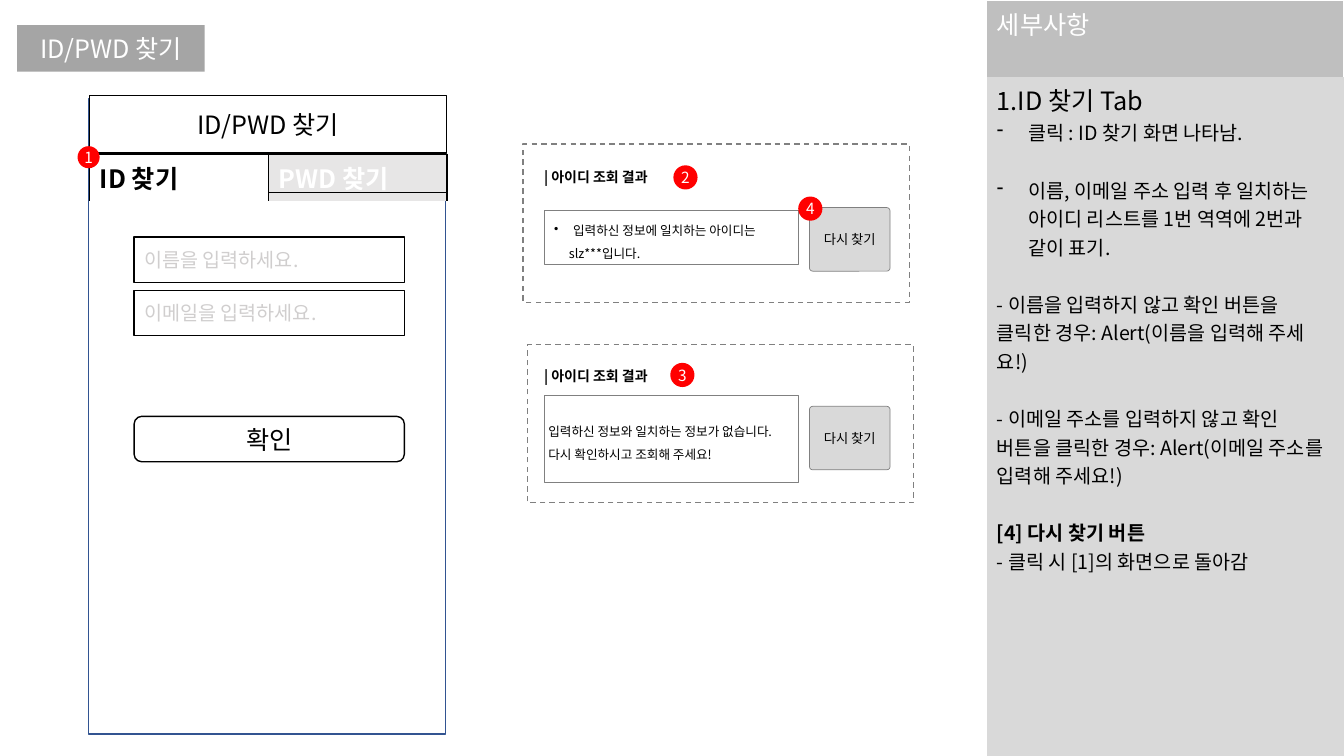
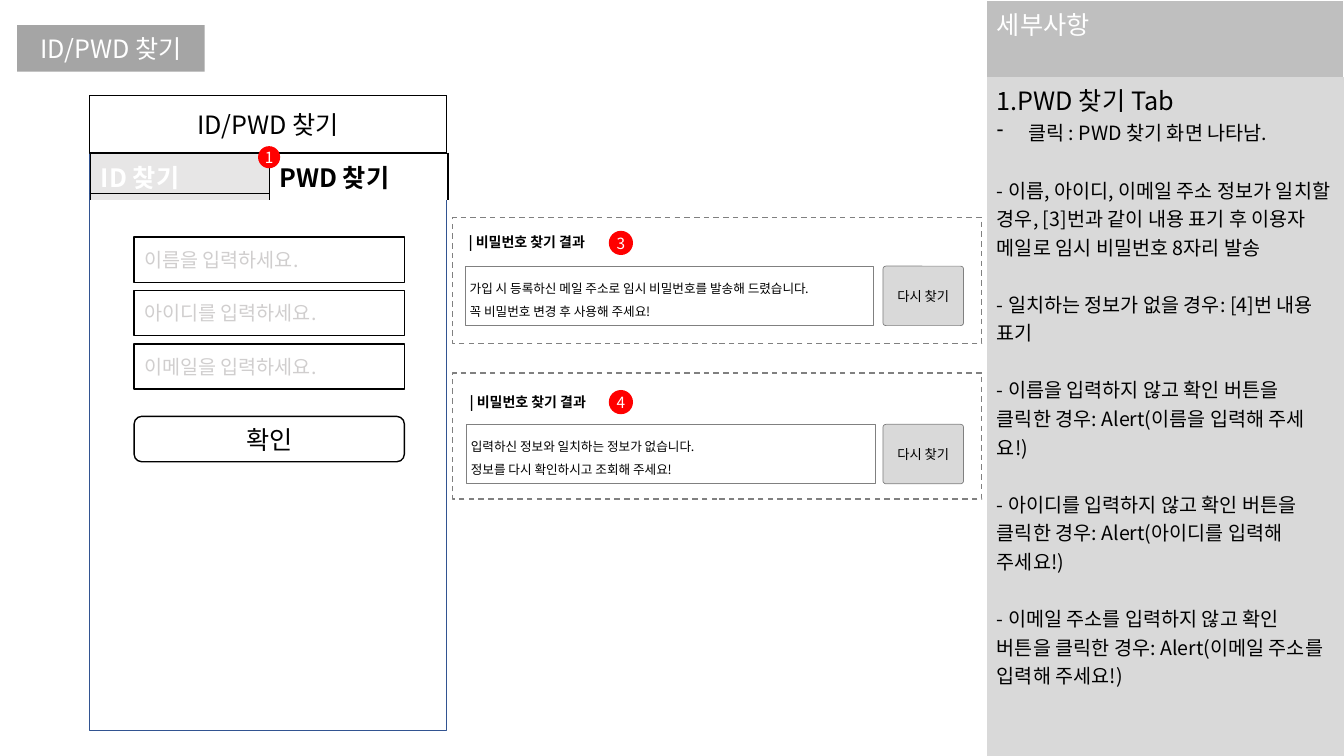
from dataclasses import dataclass

from lxml import etree
from pptx import Presentation
from pptx.dml.color import RGBColor
from pptx.enum.dml import MSO_LINE
from pptx.enum.shapes import MSO_CONNECTOR, MSO_SHAPE
from pptx.enum.text import MSO_ANCHOR, MSO_AUTO_SIZE, PP_ALIGN
from pptx.oxml.ns import qn
from pptx.util import Pt

RECT = MSO_SHAPE.RECTANGLE
ROUNDED = MSO_SHAPE.ROUNDED_RECTANGLE
OVAL = MSO_SHAPE.OVAL
STRAIGHT = MSO_CONNECTOR.STRAIGHT
DASH = MSO_LINE.DASH
TOP = MSO_ANCHOR.TOP
MIDDLE = MSO_ANCHOR.MIDDLE
LEFT = PP_ALIGN.LEFT
CENTER = PP_ALIGN.CENTER
FIXED = MSO_AUTO_SIZE.NONE
TITLE_ONLY = 5


@dataclass(frozen=True)
class Theme:
    font: str = "Noto Sans CJK KR"
    ink: str = "000000"
    white: str = "FFFFFF"
    pill: str = "A5A5A5"
    panel_head: str = "BFBFBF"
    panel: str = "D9D9D9"
    idle_tab: str = "E7E6E6"
    hint: str = "D0CECE"
    phone: str = "325491"
    frame: str = "808080"
    badge: str = "FF0000"
    heading: float = 18
    note: float = 14
    badge_size: float = 11
    result_head: float = 10
    retry: float = 9.5
    result: float = 9


@dataclass(frozen=True)
class Line:
    text: str
    bold: bool = False
    gap: float = 0
    left: float = 0
    bullet: str = ""


@dataclass(frozen=True)
class Result:
    title: str
    number: str
    frame: tuple
    heading: tuple
    badge: tuple
    box: tuple
    retry: tuple
    lines: list
    anchor: int = MIDDLE
    inset: tuple = (2.9, 2.9)


@dataclass(frozen=True)
class Screen:
    phone: tuple
    tabs: tuple
    active: int
    rule: tuple
    marker: tuple
    hints: list
    notes: list
    results: list
    badges: list


THEME = Theme()
GAP = 20.4
HANG = 22.5
PAGE_TITLE = "ID/PWD 찾기"
TABS = ["ID 찾기", "PWD 찾기"]
HEADER_BOX = (64.1, 68.4, 254.9, 41)
FIELD_LEFT, FIELD_TOP, FIELD_STEP = 95.8, 169.2, 38.2
FIELD_SIZE = (193, 32.4)
CONFIRM_TOP = 297.4


def rgb(value):
    return RGBColor.from_string(value)


def style_paragraph(paragraph, line, size, color, align, spacing):
    paragraph.text = line.text
    paragraph.alignment = align
    paragraph.line_spacing = spacing
    paragraph.space_before = Pt(line.gap)
    properties = paragraph._p.get_or_add_pPr()
    properties.set("marL", str(Pt(line.left)))
    properties.set("indent", str(-Pt(line.left) if line.bullet else 0))
    if line.bullet:
        etree.SubElement(properties, qn("a:buChar")).set("char", line.bullet)
    font = paragraph.font
    font.name = THEME.font
    font.size = Pt(size)
    font.bold = line.bold
    font.color.rgb = rgb(color)
    east_asian = etree.SubElement(properties.find(qn("a:defRPr")), qn("a:ea"))
    east_asian.set("typeface", THEME.font)


def write(frame, lines, size, color, align=LEFT, spacing=1.0):
    for index, line in enumerate(lines):
        paragraph = frame.add_paragraph() if index else frame.paragraphs[0]
        style_paragraph(paragraph, line, size, color, align, spacing)


def fit(frame, anchor=MIDDLE, inset=(7.2, 3.6), wrap=True):
    frame.auto_size = FIXED
    frame.word_wrap = wrap
    frame.vertical_anchor = anchor
    frame.margin_left = frame.margin_right = Pt(inset[0])
    frame.margin_top = frame.margin_bottom = Pt(inset[1])


def add_box(slide, kind, bounds, fill, line=None, width=1.0, dash=None, corner=None):
    box = slide.shapes.add_shape(kind, *map(Pt, bounds))
    box.shadow.inherit = False
    box.fill.solid()
    box.fill.fore_color.rgb = rgb(fill)
    if line:
        box.line.color.rgb = rgb(line)
        box.line.width = Pt(width)
        box.line.dash_style = dash
    else:
        box.line.fill.background()
    if corner is not None:
        box.adjustments[0] = corner
    fit(box.text_frame)
    return box


def add_title(slide):
    title = slide.shapes.title
    title.left, title.top, title.width, title.height = map(Pt, (12.2, 18, 134, 33.1))
    outline = etree.SubElement(title._element.spPr, qn("a:prstGeom"))
    outline.set("prst", "roundRect")
    corner = etree.SubElement(etree.SubElement(outline, qn("a:avLst")), qn("a:gd"))
    corner.set("name", "adj")
    corner.set("fmla", "val 34900")
    title.fill.solid()
    title.fill.fore_color.rgb = rgb(THEME.pill)
    fit(title.text_frame)
    write(title.text_frame, [Line(PAGE_TITLE)], THEME.heading, THEME.white, CENTER)


def style_cell(cell, fill, edge, sides):
    properties = cell._tc.get_or_add_tcPr()
    for side in "LRTB":
        border = etree.SubElement(properties, qn(f"a:ln{side}"))
        if side in sides:
            border.set("w", str(Pt(1)))
            paint = etree.SubElement(border, qn("a:solidFill"))
            etree.SubElement(paint, qn("a:srgbClr")).set("val", edge)
        else:
            etree.SubElement(border, qn("a:noFill"))
    cell.fill.solid()
    cell.fill.fore_color.rgb = rgb(fill)


def add_grid(slide, origin, widths, heights):
    bounds = (*origin, sum(widths), sum(heights))
    grid = slide.shapes.add_table(len(heights), len(widths), *map(Pt, bounds)).table
    grid.first_row = grid.horz_banding = False
    for column, width in zip(grid.columns, widths):
        column.width = Pt(width)
    for row, height in zip(grid.rows, heights):
        row.height = Pt(height)
    return grid


def add_panel(slide, notes):
    panel = add_grid(slide, (704.9, 0), [255.1], [54.7, 485.3])
    head, body = panel.cell(0, 0), panel.cell(1, 0)
    style_cell(head, THEME.panel_head, THEME.white, "LTR")
    write(head.text_frame, [Line("세부사항")], THEME.heading, THEME.white)
    style_cell(body, THEME.panel, THEME.white, "")
    write(body.text_frame, notes, THEME.note, THEME.ink)
    body.text_frame.paragraphs[0].font.size = Pt(THEME.heading)


def add_tabs(slide, screen):
    tabs = add_grid(slide, screen.tabs, [127.6, 127.6], [29.5])
    for index, label in enumerate(TABS):
        active = index == screen.active
        cell = tabs.cell(0, index)
        style_cell(cell, THEME.white if active else THEME.idle_tab, THEME.ink, "LTR")
        write(cell.text_frame, [Line(label, bold=True)], THEME.heading,
              THEME.ink if active else THEME.white)
    left, right, y = screen.rule
    rule = slide.shapes.add_connector(STRAIGHT, Pt(left), Pt(y), Pt(right), Pt(y))
    rule.line.color.rgb = rgb(THEME.ink)
    rule.line.width = Pt(0.5)
    etree.SubElement(rule._element.spPr, qn("a:effectLst"))


def add_badge(slide, number, origin, size=17.3):
    badge = add_box(slide, OVAL, (*origin, size, size), THEME.badge)
    fit(badge.text_frame, inset=(0, 0), wrap=False)
    write(badge.text_frame, [Line(number)], THEME.badge_size, THEME.white, CENTER)


def add_phone(slide, screen):
    add_box(slide, RECT, (*screen.phone, 254.9, 453.6), THEME.white, THEME.phone)
    header = add_box(slide, RECT, HEADER_BOX, THEME.white, THEME.ink)
    write(header.text_frame, [Line(PAGE_TITLE)], THEME.heading, THEME.ink, CENTER)
    for index, hint in enumerate(screen.hints):
        top = FIELD_TOP + index * FIELD_STEP
        field = add_box(slide, RECT, (FIELD_LEFT, top, *FIELD_SIZE), THEME.white, THEME.ink)
        write(field.text_frame, [Line(hint)], THEME.note, THEME.hint)
    confirm = add_box(slide, ROUNDED, (FIELD_LEFT, CONFIRM_TOP, *FIELD_SIZE),
                      THEME.white, THEME.ink)
    write(confirm.text_frame, [Line("확인")], THEME.heading, THEME.ink, CENTER)
    add_tabs(slide, screen)
    add_badge(slide, "1", screen.marker, 15.8)


def add_result(slide, result):
    add_box(slide, RECT, result.frame, THEME.white, THEME.frame, dash=DASH)
    heading = slide.shapes.add_textbox(*map(Pt, result.heading)).text_frame
    fit(heading, TOP)
    write(heading, [Line(result.title, bold=True)], THEME.result_head, THEME.ink)
    message = add_box(slide, RECT, result.box, THEME.white, THEME.frame, 0.5)
    fit(message.text_frame, result.anchor, result.inset)
    write(message.text_frame, result.lines, THEME.result, THEME.ink, spacing=1.5)
    retry = add_box(slide, ROUNDED, result.retry, THEME.panel, THEME.frame, 0.5, corner=0.052)
    fit(retry.text_frame, inset=(3.6, 3.6))
    write(retry.text_frame, [Line("다시 찾기")], THEME.retry, THEME.ink, CENTER)
    add_badge(slide, result.number, result.badge)


def alert_note(field):
    return Line(f"- {field} 입력하지 않고 확인 버튼을 클릭한 경우: Alert({field} 입력해 주세요!)", gap=GAP)


def id_screen():
    title = "| 아이디 조회 결과"
    found = Result(
        title, "2", (373.7, 103, 275.8, 113), (381.6, 116.6, 98.6, 19.4), (481, 118.1),
        (388.8, 150.5, 181.4, 38.2), (578.2, 148.3, 57.6, 45.4),
        [Line("입력하신 정보에 일치하는 아이디는", left=13.5, bullet="•"),
         Line("slz***입니다.", left=10.5)], TOP, (7.2, 3.6))
    missing = Result(
        title, "3", (376.6, 246.2, 275.8, 113), (381.6, 259.2, 98.6, 19.4), (478.8, 259.2),
        (388.8, 282.2, 181.4, 62.6), (578.2, 290.2, 57.6, 45.4),
        [Line("입력하신 정보와 일치하는 정보가 없습니다."), Line("다시 확인하시고 조회해 주세요!")])
    notes = [
        Line("1.ID 찾기 Tab"),
        Line("클릭 : ID 찾기 화면 나타남.", left=HANG, bullet="-"),
        Line("이름, 이메일 주소 입력 후 일치하는 아이디 리스트를 1번 역역에 2번과 같이 표기.",
             gap=GAP, left=HANG, bullet="-"),
        alert_note("이름을"),
        alert_note("이메일 주소를"),
        Line("[4] 다시 찾기 버튼", bold=True, gap=GAP),
        Line("- 클릭 시 [1]의 화면으로 돌아감"),
    ]
    return Screen((63.4, 70.6), (64.1, 110.2), 0, (192.2, 319.7, 137.5), (55.4, 104.4),
                  ["이름을 입력하세요.", "이메일을 입력하세요."], notes, [found, missing],
                  [("4", (570.2, 140.4))])


def password_screen():
    title = "| 비밀번호 찾기 결과"
    sent = Result(
        title, "3", (323.3, 155.5, 378, 90), (327.6, 163.4, 108.7, 19.4), (434.9, 164.9),
        (332.6, 190.1, 291.6, 42.5), (630.7, 190.1, 57.6, 42.5),
        [Line("가입 시 등록하신 메일 주소로 임시 비밀번호를 발송해 드렸습니다."),
         Line("꼭 비밀번호 변경 후 사용해 주세요!")])
    missing = Result(
        title, "4", (323.3, 266.4, 378, 90), (328.3, 277.2, 108.7, 19.4), (434.9, 278.6),
        (333.4, 303.1, 291.6, 42.5), (630.7, 303.1, 57.6, 42.5),
        [Line("입력하신 정보와 일치하는 정보가 없습니다."),
         Line("정보를 다시 확인하시고 조회해 주세요!")])
    notes = [
        Line("1.PWD 찾기 Tab"),
        Line("클릭 : PWD 찾기 화면 나타남.", left=HANG, bullet="-"),
        Line("- 이름, 아이디, 이메일 주소 정보가 일치할 경우, [3]번과 같이 내용 표기 후 "
             "이용자 메일로 임시 비밀번호 8자리 발송", gap=GAP),
        Line("- 일치하는 정보가 없을 경우: [4]번 내용 표기", gap=GAP),
        *map(alert_note, ["이름을", "아이디를", "이메일 주소를"]),
    ]
    return Screen((64.1, 68.4), (64.8, 109.4), 1, (64.1, 192.2, 138.2), (184.3, 104.4),
                  ["이름을 입력하세요.", "아이디를 입력하세요.", "이메일을 입력하세요."],
                  notes, [sent, missing], [])


def main():
    deck = Presentation()
    deck.slide_width, deck.slide_height = Pt(960), Pt(540)
    for screen in (id_screen(), password_screen()):
        slide = deck.slides.add_slide(deck.slide_layouts[TITLE_ONLY])
        add_title(slide)
        add_panel(slide, screen.notes)
        add_phone(slide, screen)
        for result in screen.results:
            add_result(slide, result)
        for number, origin in screen.badges:
            add_badge(slide, number, origin)
    deck.save("out.pptx")


main()
